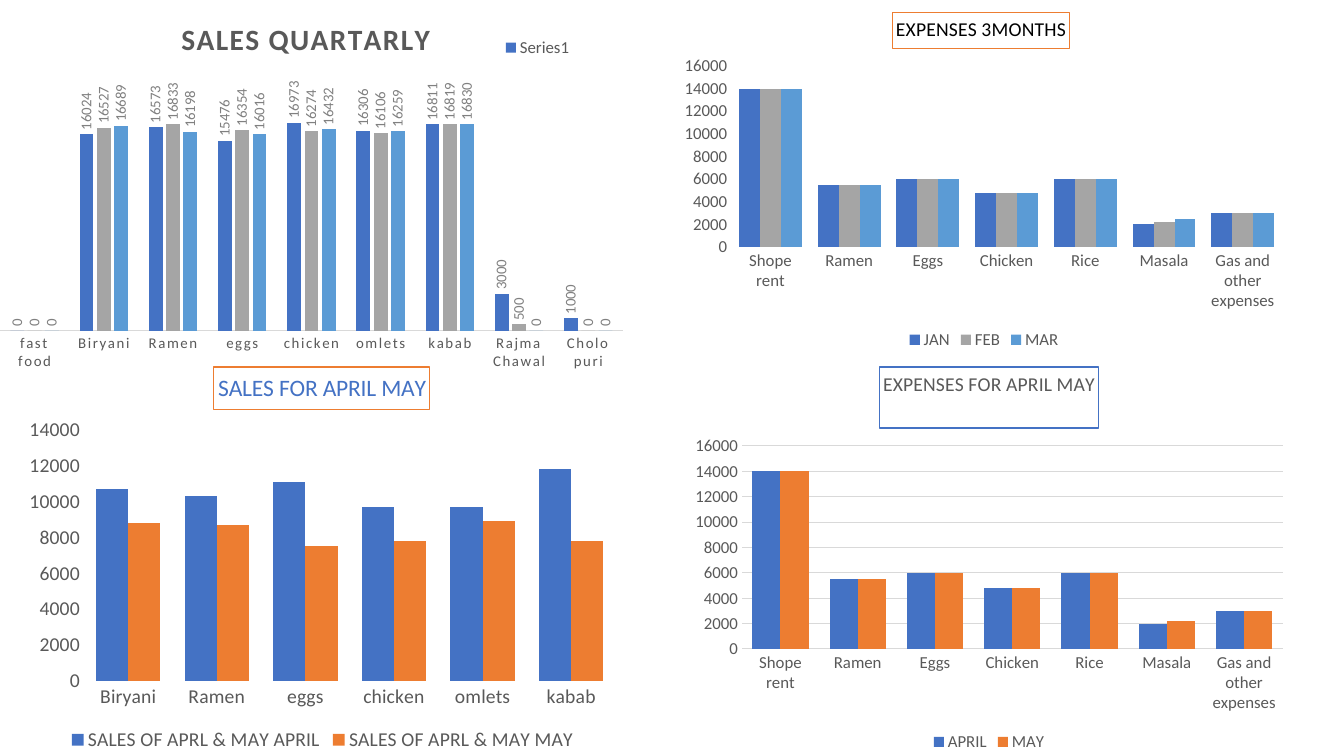
from dataclasses import dataclass
from typing import NamedTuple

from lxml import etree
from pptx import Presentation
from pptx.chart.chart import Chart
from pptx.chart.data import CategoryChartData
from pptx.dml.color import RGBColor
from pptx.enum.chart import XL_CHART_TYPE, XL_LABEL_POSITION, XL_LEGEND_POSITION, XL_TICK_MARK
from pptx.enum.shapes import MSO_SHAPE
from pptx.oxml import parse_xml
from pptx.oxml.ns import nsdecls, qn
from pptx.slide import Slide
from pptx.text.text import Font
from pptx.util import Inches, Pt

COLUMNS = XL_CHART_TYPE.COLUMN_CLUSTERED
OUTSIDE_END = XL_LABEL_POSITION.OUTSIDE_END
LEGEND_BOTTOM, LEGEND_TOP = XL_LEGEND_POSITION.BOTTOM, XL_LEGEND_POSITION.TOP
NO_TICK = XL_TICK_MARK.NONE
RECTANGLE = MSO_SHAPE.RECTANGLE
WIDTH, HEIGHT = Inches(13.33), Inches(7.5)


@dataclass(frozen=True)
class Theme:
    font: str = "Calibri"
    text: str = "595959"
    label: str = "808080"
    black: str = "000000"
    rule: str = "D9D9D9"
    blue: str = "4472C4"
    gray: str = "A5A5A5"
    sky: str = "5B9BD5"
    orange: str = "ED7D31"
    dense: float = 10.6
    small: float = 12
    medium: float = 14
    large: float = 16.8
    heading: float = 21
    hairline: float = 0.75


class Box(NamedTuple):
    """Percentages of the slide's width and height."""
    left: float
    top: float
    width: float
    height: float


class Title(NamedTuple):
    text: str
    left: float
    top: float
    size: float
    color: str
    border: str | None = None


@dataclass(frozen=True)
class Panel:
    frame: Box
    plot: Box
    title: Title
    categories: tuple[str, ...]
    series: dict[str, tuple[int, ...]]
    colors: tuple[str, ...]
    maximum: int
    size: float
    gridlines: bool = False
    legend: Box | None = None


THEME = Theme()
QUARTER_COLORS = (THEME.blue, THEME.gray, THEME.sky)
PAIR_COLORS = (THEME.blue, THEME.orange)
DISHES = ("Biryani", "Ramen", "eggs", "chicken", "omlets", "kabab")
COSTS = ("Shope rent", "Ramen", "Eggs", "Chicken", "Rice", "Masala", "Gas and other expenses")
FIRST_MONTH = (14000, 5500, 6000, 4800, 6000, 2000, 3000)
SECOND_MONTH = (14000, 5500, 6000, 4800, 6000, 2200, 3000)
THIRD_MONTH = (14000, 5500, 6000, 4800, 6000, 2500, 3000)
EXPENSE_TITLE_FRAME = Box(65.44, 48.55, 16.3, 8.05)

SALES_QUARTER = Panel(
    Box(-0.98, 0, 48.24, 50), Box(0, 14.55, 46.35, 29.2),
    Title("SALES QUARTARLY", 13.1, 1.8, THEME.heading, THEME.text),
    ("fast food", *DISHES, "Rajma Chawal", "Cholo puri"),
    {"Series1": (0, 16024, 16573, 15476, 16973, 16306, 16811, 3000, 1000),
     "Series2": (0, 16527, 16833, 16354, 16274, 16106, 16819, 500, 0),
     "Series3": (0, 16689, 16198, 16016, 16432, 16259, 16830, 0, 0)},
    QUARTER_COLORS, 18000, THEME.dense, legend=Box(37, 4.8, 6, 3))
EXPENSES_QUARTER = Panel(
    Box(50.04, 0, 46.36, 46.8), Box(54.4, 8.73, 41, 23.94),
    Title("EXPENSES 3MONTHS", 66.4, 1.6, THEME.medium, THEME.black, THEME.orange),
    COSTS, {"JAN": FIRST_MONTH, "FEB": SECOND_MONTH, "MAR": THIRD_MONTH},
    QUARTER_COLORS, 16000, THEME.small)
SALES_SPRING = Panel(
    Box(1.28, 46.8, 45.46, 53.2), Box(6.25, 56.88, 39.55, 33.2),
    Title("SALES FOR APRIL MAY", 15.92, 48.55, THEME.large, THEME.blue, THEME.orange),
    DISHES,
    {"SALES OF APRL & MAY APRIL": (10700, 10300, 11100, 9700, 9700, 11800),
     "SALES OF APRL & MAY MAY": (8800, 8700, 7500, 7800, 8900, 7800)},
    PAIR_COLORS, 14000, THEME.medium)
EXPENSES_SPRING = Panel(
    Box(50.86, 46.8, 45.46, 53.2), Box(55.2, 59, 40.25, 26.85),
    Title("EXPENSES FOR APRIL MAY", 65.44, 48.55, THEME.medium, THEME.text),
    COSTS, {"APRIL": FIRST_MONTH, "MAY": SECOND_MONTH},
    PAIR_COLORS, 16000, THEME.small, gridlines=True)


def place(box: Box) -> tuple[int, int, int, int]:
    return (int(WIDTH * box.left / 100), int(HEIGHT * box.top / 100),
            int(WIDTH * box.width / 100), int(HEIGHT * box.height / 100))


def style_font(font: Font, size: float, color: str, bold: bool = False) -> None:
    font.name, font.size, font.bold = THEME.font, Pt(size), bold
    font.color.rgb = RGBColor.from_string(color)


def set_layout(parent: etree.ElementBase, index: int, frame: Box, left: float, top: float,
               width: float = 0, height: float = 0, inner: bool = False) -> None:
    """Pin a chart part at slide percentages, restated as shares of the chart frame."""
    for old in parent.findall(qn("c:layout")):
        parent.remove(old)
    layout = parse_xml(f"<c:layout {nsdecls('c')}><c:manualLayout/></c:layout>")
    values = [("layoutTarget", "inner")] if inner else []
    values += [("xMode", "edge"), ("yMode", "edge"),
               ("x", (left - frame.left) / frame.width), ("y", (top - frame.top) / frame.height)]
    if width:
        values += [("w", width / frame.width), ("h", height / frame.height)]
    for name, value in values:
        etree.SubElement(layout[0], qn(f"c:{name}")).set("val", str(value))
    parent.insert(index, layout)


def style_title(chart: Chart, panel: Panel) -> None:
    title = panel.title
    chart.has_title = True
    chart_title = chart.chart_title
    chart_title.text_frame.text = title.text
    font = chart_title.text_frame.paragraphs[0].font
    is_heading = title.size == THEME.heading
    style_font(font, title.size, title.color, bold=is_heading)
    if is_heading:
        font._element.set("spc", "100")
    if title.border:
        line = chart_title.format.line
        line.color.rgb = RGBColor.from_string(title.border)
        line.width = Pt(THEME.hairline)
    set_layout(chart_title._element, 1, panel.frame, title.left, title.top)


def style_axes(chart: Chart, panel: Panel) -> None:
    for axis in (chart.category_axis, chart.value_axis):
        axis.major_tick_mark = axis.minor_tick_mark = NO_TICK
        axis.has_major_gridlines = False
        axis.format.line.fill.background()
        style_font(axis.tick_labels.font, panel.size, THEME.text)
    value_axis = chart.value_axis
    value_axis.minimum_scale, value_axis.maximum_scale = 0, panel.maximum
    value_axis.major_unit = 2000
    if panel.gridlines:
        value_axis.has_major_gridlines = True
        line = value_axis.major_gridlines.format.line
        line.color.rgb, line.width = RGBColor.from_string(THEME.rule), Pt(THEME.hairline)


def style_legend(chart: Chart, panel: Panel) -> None:
    chart.has_legend = True
    legend = chart.legend
    legend.include_in_layout = False
    legend.position = LEGEND_TOP if panel.legend else LEGEND_BOTTOM
    style_font(legend.font, max(panel.size, THEME.small), THEME.text)
    if panel.legend:
        set_layout(legend._element, 1, panel.frame, *panel.legend)
        for index in range(len(panel.series) - 1, 0, -1):
            legend._element.insert(1, parse_xml(
                f'<c:legendEntry {nsdecls("c")}><c:idx val="{index}"/>'
                '<c:delete val="1"/></c:legendEntry>'))


def add_panel(slide: Slide, panel: Panel) -> Chart:
    data = CategoryChartData()
    data.categories = panel.categories
    for name, values in panel.series.items():
        data.add_series(name, values)
    chart = slide.shapes.add_chart(COLUMNS, *place(panel.frame), data).chart
    style_font(chart.font, panel.size, THEME.black)
    style_title(chart, panel)
    style_axes(chart, panel)
    style_legend(chart, panel)
    plot = chart.plots[0]
    plot.vary_by_categories, plot.gap_width, plot.overlap = False, 75, 0
    for series, color in zip(plot.series, panel.colors):
        series.format.fill.solid()
        series.format.fill.fore_color.rgb = RGBColor.from_string(color)
    set_layout(chart._chartSpace.chart.plotArea, 0, panel.frame, *panel.plot, inner=True)
    return chart


def label_columns(chart: Chart) -> None:
    """Replace the value axis with upright values above spaced columns."""
    chart.value_axis.visible = False
    category_axis = chart.category_axis
    line = category_axis.format.line
    line.color.rgb, line.width = RGBColor.from_string(THEME.rule), Pt(THEME.hairline)
    category_axis.tick_labels.font._element.set("spc", "120")
    plot = chart.plots[0]
    plot.gap_width, plot.overlap = 150, -25
    for series in plot.series:
        labels = series.data_labels
        labels.show_value, labels.position = True, OUTSIDE_END
        style_font(labels.font, THEME.dense, THEME.label)
        body = labels._element.find(f"{qn('c:txPr')}/{qn('a:bodyPr')}")
        body.set("rot", "-5400000")
        body.set("vert", "horz")


def add_title_frame(slide: Slide, box: Box) -> None:
    shape = slide.shapes.add_shape(RECTANGLE, *place(box))
    shape.shadow.inherit = False
    shape.fill.background()
    shape.line.color.rgb, shape.line.width = RGBColor.from_string(THEME.blue), Pt(1)


def main() -> None:
    presentation = Presentation()
    presentation.slide_width, presentation.slide_height = WIDTH, HEIGHT
    slide = presentation.slides.add_slide(presentation.slide_layouts[6])
    label_columns(add_panel(slide, SALES_QUARTER))
    for panel in (EXPENSES_QUARTER, SALES_SPRING, EXPENSES_SPRING):
        add_panel(slide, panel)
    add_title_frame(slide, EXPENSE_TITLE_FRAME)
    presentation.save("out.pptx")


if __name__ == "__main__":
    main()
